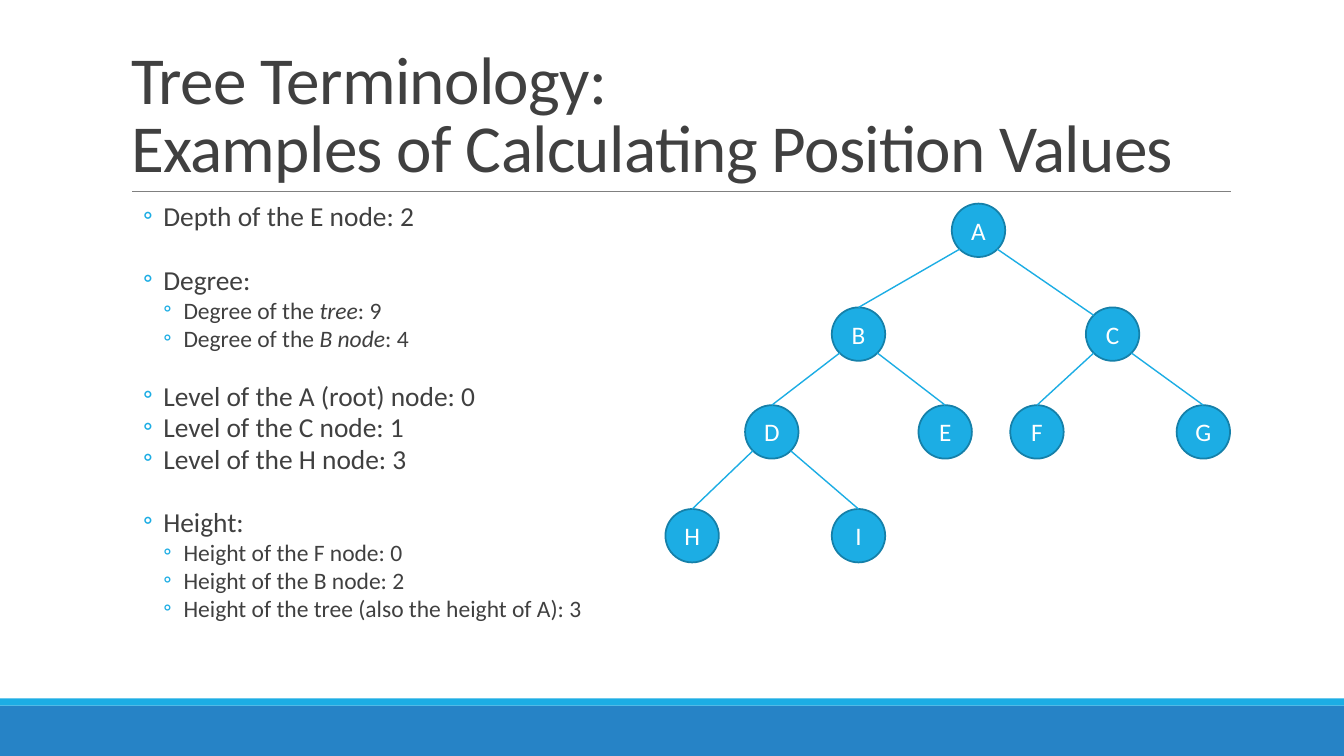
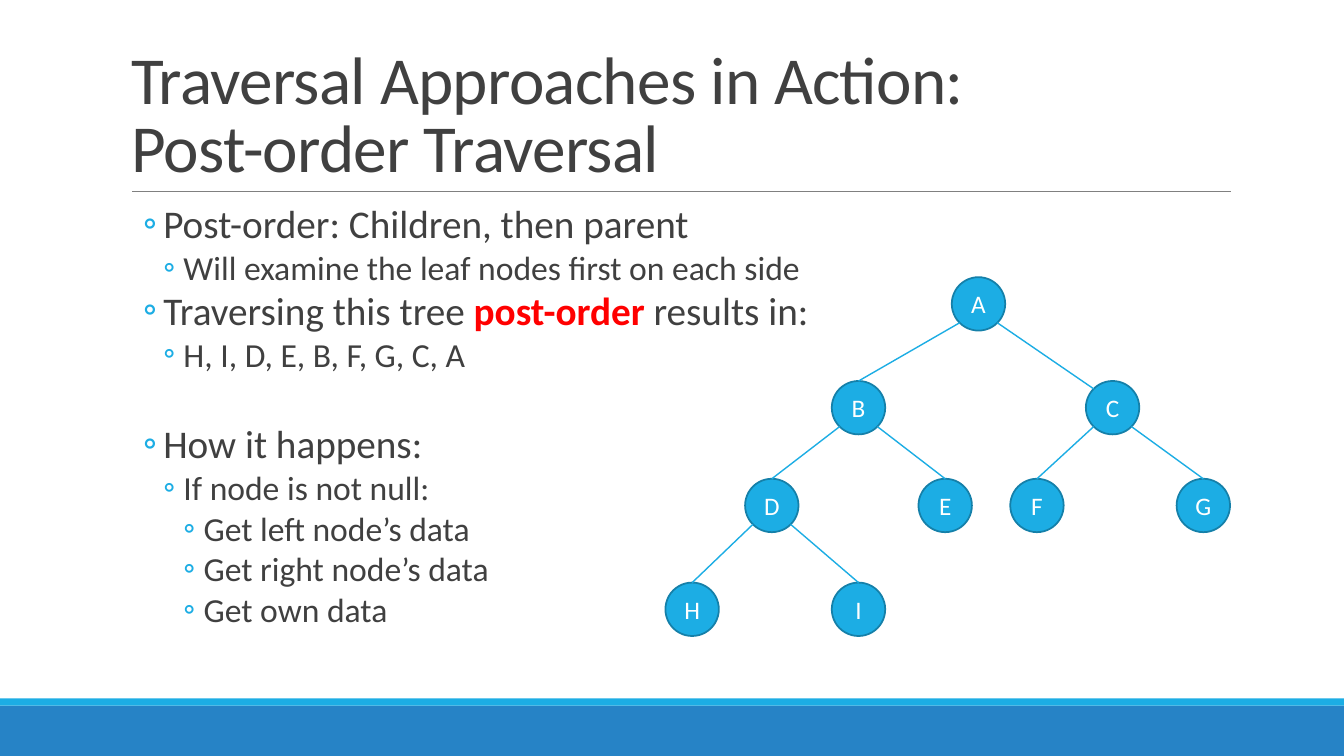
from dataclasses import dataclass
from math import sqrt

from lxml import etree
from pptx import Presentation
from pptx.dml.color import RGBColor
from pptx.enum.shapes import MSO_CONNECTOR, MSO_SHAPE
from pptx.enum.text import MSO_ANCHOR, MSO_AUTO_SIZE, PP_ALIGN
from pptx.oxml.ns import qn
from pptx.util import Inches, Pt

STRAIGHT = MSO_CONNECTOR.STRAIGHT
RECTANGLE, CIRCLE = MSO_SHAPE.RECTANGLE, MSO_SHAPE.FLOWCHART_CONNECTOR
LEFT, CENTER = PP_ALIGN.LEFT, PP_ALIGN.CENTER
MIDDLE, BOTTOM = MSO_ANCHOR.MIDDLE, MSO_ANCHOR.BOTTOM
NO_AUTOFIT = MSO_AUTO_SIZE.NONE


@dataclass(frozen=True)
class Theme:
    font: str = "Calibri"
    text: str = "404040"
    accent: str = "1CADE4"
    accent_dark: str = "1580A9"
    band: str = "2683C6"
    rule: str = "808080"
    white: str = "FFFFFF"
    emphasis: str = "FF0000"
    title_size: float = 48
    node_size: float = 18


THEME = Theme()
WIDTH, HEIGHT = 13.33, 7.5
BAND_HEIGHT, STRIPE_HEIGHT = 0.5, 0.07
MARGIN, CONTENT_WIDTH = 1.2, 11
TITLE_TOP, RULE_TOP, BODY_TOP, BODY_HEIGHT = 0.31, 1.9, 2.02, 4.4
SPACE_BEFORE, SPACE_AFTER = 2, 4
LINE_HEIGHT = 1.22  # natural line height of the font, in ems
ITALIC = {"italic": True}
STRONG = {"bold": True, "color": THEME.emphasis}

# Content: a line is (level, runs); GAP leaves one line of that level free
GAP = None
SLIDES = [
    {
        "title": "Tree Terminology:\vExamples of Calculating Position Values",
        "body_width": 5.31, "sizes": (19.6, 16.8), "line_spacing": 0.7,
        "tree_top": 2.02,
        "lines": [
            (1, ["Depth of the E node: 2"]),
            (1, GAP),
            (1, ["Degree:"]),
            (2, ["Degree of the ", ("tree", ITALIC), ": 9"]),
            (2, ["Degree of the ", ("B node", ITALIC), ": 4"]),
            (2, GAP),
            (1, ["Level of the A (root) node: 0"]),
            (1, ["Level of the C node: 1"]),
            (1, ["Level of the H node: 3"]),
            (1, GAP),
            (1, ["Height:"]),
            (2, ["Height of the F node: 0"]),
            (2, ["Height of the B node: 2"]),
            (2, ["Height of the tree (also the height of A): 3"]),
        ],
    },
    {
        "title": "Traversal Approaches in Action:\vPost-order Traversal",
        "body_width": 9.76, "sizes": (28, 24, 24), "line_spacing": 0.8,
        "tree_top": 2.75,
        "lines": [
            (1, ["Post-order: Children, then parent"]),
            (2, ["Will examine the leaf nodes first on each side"]),
            (1, ["Traversing this tree ", ("post-order", STRONG), " results in:"]),
            (2, ["H, I, D, E, B, F, G, C, A"]),
            (1, GAP),
            (1, ["How it happens:"]),
            (2, ["If node is not null:"]),
            (3, ["Get left node’s data"]),
            (3, ["Get right node’s data"]),
            (3, ["Get own data"]),
        ],
    },
]

# Tree: node -> (left edge, row), parent -> children
NODE_DIAMETER = 0.53
ROW_OFFSETS = (0, 1.03, 2.0, 3.03)
NODES = {
    "A": (9.44, 0), "B": (8.25, 1), "C": (10.77, 1),
    "D": (7.39, 2), "E": (9.11, 2), "F": (10.02, 2), "G": (11.67, 2),
    "H": (6.6, 3), "I": (8.25, 3),
}
CHILDREN = {"A": "BC", "B": "DE", "C": "FG", "D": "HI"}
SIDE_JOINED = {"C"}  # reached at the upper left of the circle, not the top


def color(value):
    return RGBColor.from_string(value)


def add_text(paragraph, text, size, fill=THEME.text, bold=False, italic=False,
             align=LEFT, tracking=None):
    """Append text to a paragraph; a vertical tab breaks the line."""
    paragraph.alignment = align
    for index, part in enumerate(text.split("\v")):
        if index:
            paragraph.add_line_break()
        run = paragraph.add_run()
        run.text = part
        font = run.font
        font.name, font.size = THEME.font, Pt(size)
        font.bold, font.italic = bold, italic
        font.color.rgb = color(fill)
        if tracking is not None:
            font._element.set("spc", str(round(tracking * 100)))


def add_shape(shapes, kind, box, fill, line=None, line_width=1.25):
    shape = shapes.add_shape(kind, *map(Inches, box))
    shape.shadow.inherit = False
    shape.fill.solid()
    shape.fill.fore_color.rgb = color(fill)
    if line:
        shape.line.color.rgb = color(line)
        shape.line.width = Pt(line_width)
    else:
        shape.line.fill.background()
    return shape


def add_line(shapes, start, end, line, width):
    connector = shapes.add_connector(STRAIGHT, *map(Inches, (*start, *end)))
    connector.line.color.rgb = color(line)
    connector.line.width = Pt(width)
    etree.SubElement(connector._element.spPr, qn("a:effectLst"))
    return connector


def add_frame(slide):
    """Footer bands and the rule under the title."""
    band_top = HEIGHT - BAND_HEIGHT
    add_shape(slide.shapes, RECTANGLE, (0, band_top, WIDTH, BAND_HEIGHT), THEME.band)
    add_shape(slide.shapes, RECTANGLE,
              (0, band_top - STRIPE_HEIGHT, WIDTH, STRIPE_HEIGHT), THEME.accent)
    add_line(slide.shapes, (MARGIN + 0.11, RULE_TOP),
             (MARGIN + CONTENT_WIDTH + 0.01, RULE_TOP), THEME.rule, 0.5)


def set_title(slide, text):
    title = slide.shapes.title
    title.left, title.top = Inches(MARGIN), Inches(TITLE_TOP)
    title.width, title.height = Inches(CONTENT_WIDTH), Inches(RULE_TOP - TITLE_TOP)
    frame = title.text_frame
    frame.auto_size, frame.word_wrap = NO_AUTOFIT, True
    frame.vertical_anchor = BOTTOM
    paragraph = frame.paragraphs[0]
    paragraph.line_spacing = 0.85
    add_text(paragraph, text, THEME.title_size, tracking=-0.5)


def set_bullet(paragraph, level):
    properties = paragraph._p.get_or_add_pPr()
    properties.set("marL", str(Inches(0.22 + 0.2 * level)))
    properties.set("indent", str(Inches(-0.2)))
    bullet_color = etree.SubElement(properties, qn("a:buClr"))
    etree.SubElement(bullet_color, qn("a:srgbClr"), val=THEME.accent)
    etree.SubElement(properties, qn("a:buFont"), typeface=THEME.font)
    etree.SubElement(properties, qn("a:buChar"), char="◦")


def add_body(slide, content):
    box = slide.shapes.add_textbox(*map(Inches, (
        MARGIN, BODY_TOP, content["body_width"], BODY_HEIGHT)))
    frame = box.text_frame
    frame.word_wrap = True
    frame.margin_left = frame.margin_right = 0
    spacing, gap = content["line_spacing"], 0
    paragraph = frame.paragraphs[0]
    for index, (level, runs) in enumerate(content["lines"]):
        size = content["sizes"][level - 1]
        if runs is GAP:
            gap = size * LINE_HEIGHT * spacing + SPACE_BEFORE + SPACE_AFTER
            continue
        if index:
            paragraph = frame.add_paragraph()
        paragraph.level = level - 1
        paragraph.line_spacing = spacing
        paragraph.space_before = Pt(SPACE_BEFORE + gap)
        paragraph.space_after = Pt(SPACE_AFTER)
        gap = 0
        set_bullet(paragraph, level)
        for run in runs:
            text, style = (run, {}) if isinstance(run, str) else run
            add_text(paragraph, text, size, fill=style.get("color", THEME.text),
                     bold=style.get("bold", False), italic=style.get("italic", False))


def add_tree(slide, top):
    shapes = slide.shapes.add_group_shape().shapes
    radius = NODE_DIAMETER / 2
    diagonal = radius / sqrt(2)
    circles, centers = {}, {}

    # Nodes
    for name, (left, row) in NODES.items():
        node_top = top + ROW_OFFSETS[row]
        circle = add_shape(shapes, CIRCLE, (left, node_top, NODE_DIAMETER, NODE_DIAMETER),
                           THEME.accent, THEME.accent_dark)
        frame = circle.text_frame
        frame.word_wrap = False
        frame.vertical_anchor = MIDDLE
        add_text(frame.paragraphs[0], name, THEME.node_size, fill=THEME.white, align=CENTER)
        circles[name] = circle
        centers[name] = (left + radius, node_top + radius)

    # Branches run from a parent's lower diagonal to its child
    for parent, children in CHILDREN.items():
        parent_x, parent_y = centers[parent]
        for child, side in zip(children, (-1, 1)):
            x, y = centers[child]
            start = (parent_x + side * diagonal, parent_y + diagonal)
            if child in SIDE_JOINED:
                add_line(shapes, start, (x - diagonal, y - diagonal), THEME.accent, 1)
            else:
                branch = add_line(shapes, start, (x, y - radius), THEME.accent, 1)
                branch.end_connect(circles[child], 0)


def main():
    presentation = Presentation()
    presentation.slide_width, presentation.slide_height = Inches(WIDTH), Inches(HEIGHT)
    title_only = presentation.slide_layouts.get_by_name("Title Only")
    for content in SLIDES:
        slide = presentation.slides.add_slide(title_only)
        add_frame(slide)
        set_title(slide, content["title"])
        add_body(slide, content)
        add_tree(slide, content["tree_top"])
    presentation.save("out.pptx")


if __name__ == "__main__":
    main()
